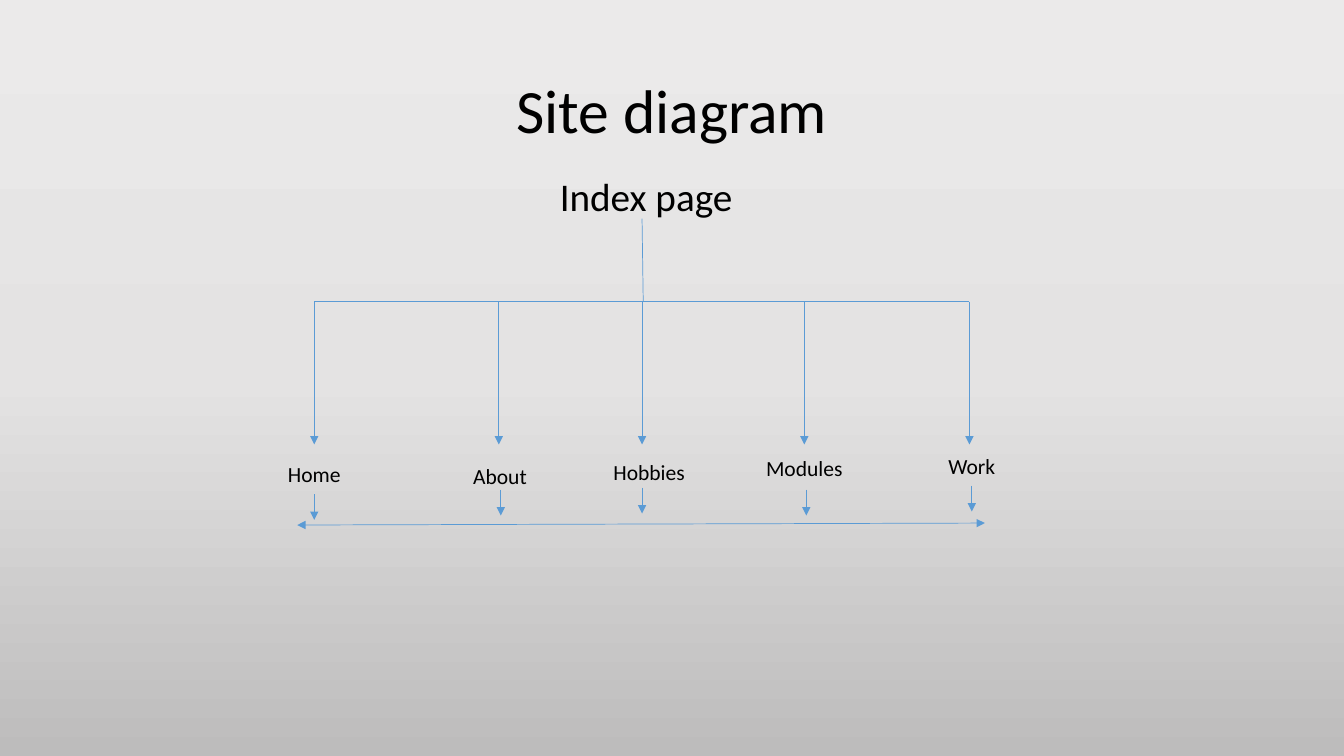
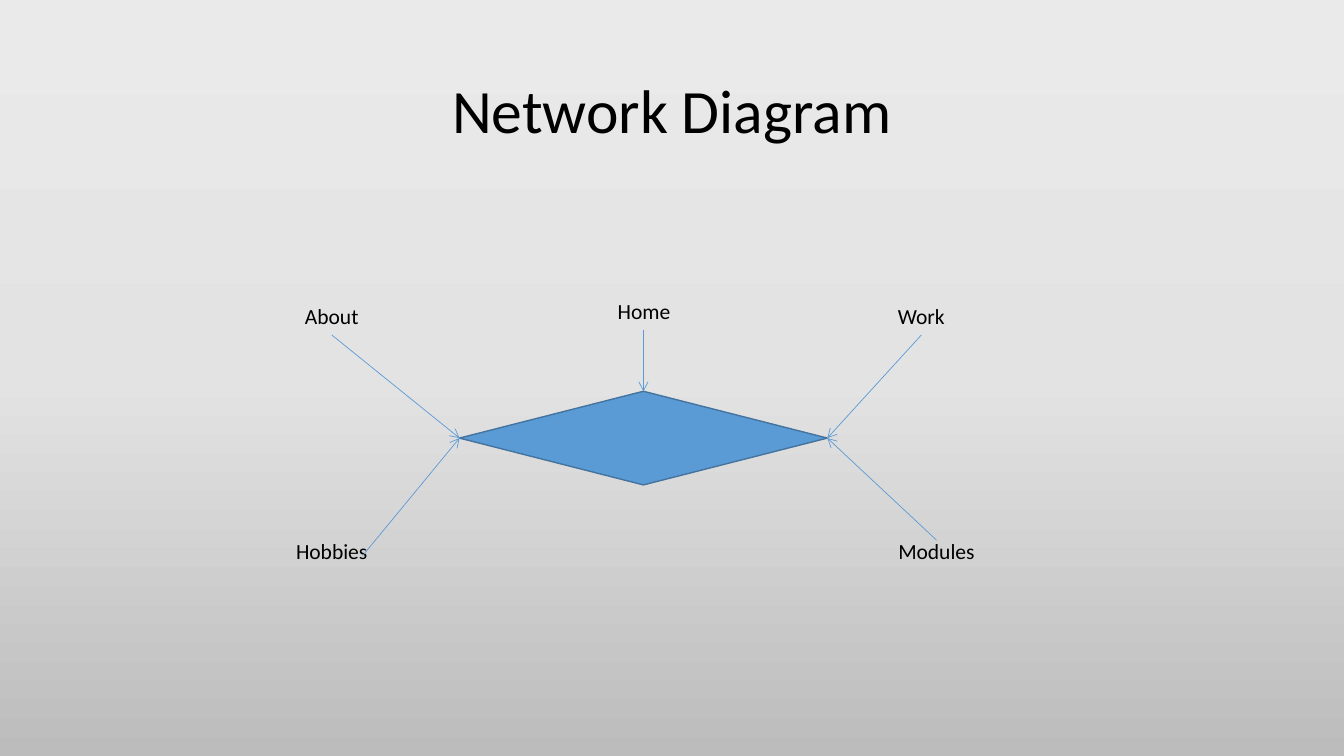
from lxml import etree
from pptx import Presentation
from pptx import util as u
from pptx.dml.color import RGBColor
from pptx.enum import shapes, text
from pptx.oxml.ns import qn

BLACK = RGBColor(0x00, 0x00, 0x00)
BLUE = RGBColor(0x5B, 0x9B, 0xD5)
DARK_BLUE = RGBColor(0x43, 0x73, 0x9E)
BACKDROP = [(0, RGBColor(0xEB, 0xEA, 0xEA)),
            (50, RGBColor(0xE4, 0xE3, 0xE3)),
            (100, RGBColor(0xBD, 0xBC, 0xBC))]
FONT = "Calibri"
LABEL_WIDTH, LABEL_HEIGHT = 4.72, 0.74


def set_backdrop(master):
    """Give every slide the same top-to-bottom gradient."""
    fill = master.background.fill
    fill.gradient()
    fill.gradient_angle = 270
    stops = next(master.element.iter(qn("a:gsLst")))
    for stop in list(stops):
        stops.remove(stop)
    for percent, color in BACKDROP:
        stop = etree.SubElement(stops, qn("a:gs"), pos=str(percent * 1000))
        etree.SubElement(stop, qn("a:srgbClr"), val=str(color))


def add_text(page, words, left, top, width, height, size,
             spacing=0.9, before=0, anchor=text.MSO_ANCHOR.TOP):
    box = page.shapes.add_textbox(u.Cm(left), u.Cm(top), u.Cm(width), u.Cm(height))
    frame = box.text_frame
    frame.word_wrap = True
    frame.vertical_anchor = anchor
    frame.text = words
    para = frame.paragraphs[0]
    para.alignment = text.PP_ALIGN.CENTER
    para.line_spacing = spacing
    para.space_before = u.Pt(before)
    font = para.runs[0].font
    font.name, font.size, font.color.rgb = FONT, u.Pt(size), BLACK
    return box


def add_label(page, words, center, top):
    add_text(page, words, center - LABEL_WIDTH / 2, top,
             LABEL_WIDTH, LABEL_HEIGHT, 15.4, spacing=0.7, before=10)


def add_line(page, start, end, head=None, tail=None):
    line = page.shapes.add_connector(
        shapes.MSO_CONNECTOR.STRAIGHT, *(u.Cm(value) for value in start + end))
    line.line.color.rgb = BLUE
    line.line.width = u.Pt(0.5)
    outline = line.line._get_or_add_ln()
    for tag, kind in (("a:headEnd", head), ("a:tailEnd", tail)):
        if kind:
            etree.SubElement(outline, qn(tag), type=kind)
    etree.SubElement(line._element.spPr, qn("a:effectLst"))


def add_page(deck, title):
    page = deck.slides.add_slide(deck.slide_layouts[6])
    add_text(page, title, 2.33, 1.02, 29.21, 3.68, 44,
             anchor=text.MSO_ANCHOR.MIDDLE)
    return page


def add_site_diagram(deck):
    page = add_page(deck, "Site diagram")
    bar_y = 7.6

    # Index page and the bar that branches from it
    add_text(page, "Index page ", 12.24, 4.34, 8.31, 1.83, 28, before=10)
    add_line(page, (16.18, 5.51), (16.21, bar_y))
    add_line(page, (7.92, bar_y), (24.43, bar_y))

    # Branches: name, drop x, label centre and top, stub x and top
    branches = [
        ("Home", 7.92, 7.92, 11.68, 7.92, 12.45),
        ("About", 12.57, 12.6, 11.71, 12.62, 12.34),
        ("Hobbies", 16.18, 16.36, 11.61, 16.18, 12.29),
        ("Modules", 20.27, 20.27, 11.51, 20.32, 12.34),
        ("Work", 24.43, 24.49, 11.48, 24.49, 12.24),
    ]
    for name, drop_x, center, top, stub_x, stub_y in branches:
        add_line(page, (drop_x, bar_y), (drop_x, 11.2), tail="triangle")
        add_label(page, name, center, top)
        add_line(page, (stub_x, stub_y), (stub_x, stub_y + 0.65), tail="triangle")

    # Link between all pages
    add_line(page, (7.49, 13.23), (24.82, 13.18), head="triangle", tail="triangle")


def add_network_diagram(deck):
    page = add_page(deck, "Network Diagram")

    # Central hub
    left, top, width, height = 11.58, 9.86, 9.27, 2.36
    hub = page.shapes.add_shape(shapes.MSO_SHAPE.FLOWCHART_DECISION,
                                u.Cm(left), u.Cm(top), u.Cm(width), u.Cm(height))
    hub.shadow.inherit = False
    hub.fill.solid()
    hub.fill.fore_color.rgb = BLUE
    hub.line.color.rgb = DARK_BLUE
    hub.line.width = u.Pt(1)
    west = (left, top + height / 2)
    east = (left + width, top + height / 2)
    north = (left + width / 2, top)

    # Nodes: name, label centre and top, arrow start and end
    upper, lower = 7.7, 13.61
    nodes = [
        ("Home", 16.23, 7.57, (north[0], 7.57 + LABEL_HEIGHT), north),
        ("About", 8.36, upper, (8.36, upper + LABEL_HEIGHT), west),
        ("Work", 23.22, upper, (23.22, upper + LABEL_HEIGHT), east),
        ("Hobbies", 8.36, lower, (9.14, 14), west),
        ("Modules", 23.6, lower, (23.6, lower), east),
    ]
    for name, center, label_top, start, end in nodes:
        add_label(page, name, center, label_top)
        add_line(page, start, end, tail="arrow")


def main():
    deck = Presentation()
    deck.slide_width, deck.slide_height = u.Cm(33.87), u.Cm(19.05)
    set_backdrop(deck.slide_master)
    add_site_diagram(deck)
    add_network_diagram(deck)
    deck.save("out.pptx")


main()
